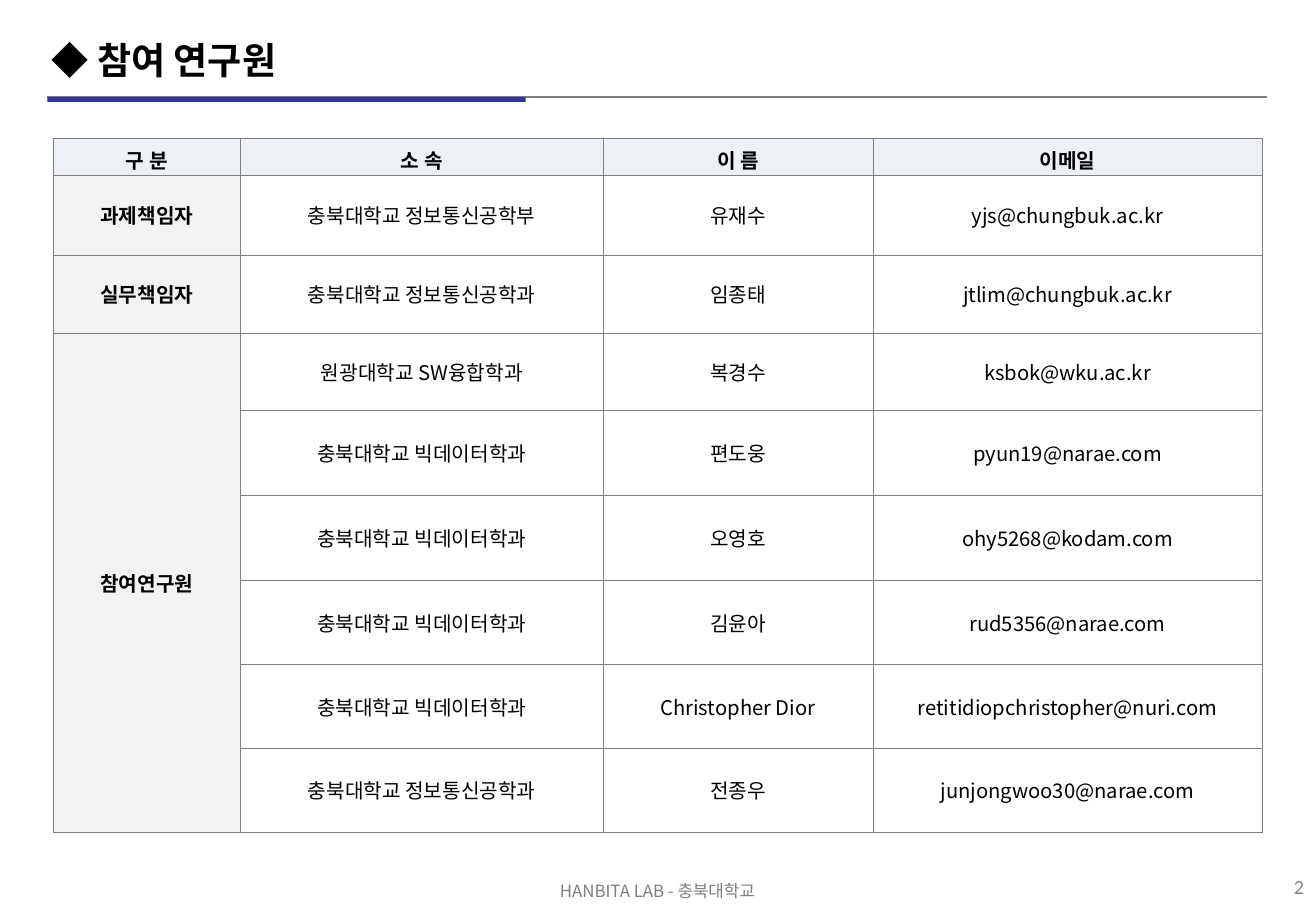
from dataclasses import dataclass

from lxml import etree
from pptx import Presentation
from pptx.dml.color import RGBColor
from pptx.enum.shapes import MSO_CONNECTOR, MSO_SHAPE
from pptx.enum.text import MSO_ANCHOR, PP_ALIGN
from pptx.oxml import parse_xml
from pptx.oxml.ns import nsdecls, qn
from pptx.util import Inches, Pt

LEFT, CENTER, RIGHT = PP_ALIGN.LEFT, PP_ALIGN.CENTER, PP_ALIGN.RIGHT
TOP, MIDDLE = MSO_ANCHOR.TOP, MSO_ANCHOR.MIDDLE
STRAIGHT, RECTANGLE = MSO_CONNECTOR.STRAIGHT, MSO_SHAPE.RECTANGLE


@dataclass(frozen=True)
class Theme:
    korean: str = "Noto Sans CJK KR"
    latin: str = "Calibri"
    ink: str = "000000"
    rule: str = "7F7F7F"
    page: str = "898989"
    accent: str = "333399"
    header: str = "EDF0F4"
    role: str = "F2F2F2"
    title_size: int = 22
    body_size: int = 12
    footer_size: int = 10
    border: float = 0.34


theme = Theme()


def write(frame, text, size, color, align, bold=False, font=theme.korean):
    frame.text = text
    paragraph = frame.paragraphs[0]
    paragraph.alignment = align
    for run in paragraph.runs:
        run.font.size = Pt(size)
        run.font.bold = bold
        run.font.name = font
        run.font.color.rgb = RGBColor.from_string(color)
        east_asian = etree.SubElement(run.font._element, qn("a:ea"))
        east_asian.set("typeface", font)


def add_label(box, text, size, color, align, anchor, **style):
    frame = slide.shapes.add_textbox(*map(Inches, box)).text_frame
    frame.word_wrap = True
    frame.vertical_anchor = anchor
    write(frame, text, size, color, align, **style)


deck = Presentation()
deck.slide_width = Inches(10.84)
deck.slide_height = Inches(7.5)
slide = deck.slides.add_slide(deck.slide_layouts[6])

add_label((0, 7.2, 10.83, 0.27), "HANBITA LAB - 충북대학교",
          theme.footer_size, theme.rule, CENTER, TOP)

title_rule = slide.shapes.add_connector(
    STRAIGHT, Inches(0.39), Inches(0.8), Inches(10.44), Inches(0.8))
title_rule.line.color.rgb = RGBColor.from_string(theme.rule)
title_rule.line.width = Pt(1)
etree.SubElement(title_rule._element.spPr, qn("a:effectLst"))

add_label((8.4, 7.1, 2.44, 0.4), "2",
          theme.body_size, theme.page, RIGHT, MIDDLE, font=theme.latin)

title_accent = slide.shapes.add_shape(
    RECTANGLE, Inches(0.39), Inches(0.8), Inches(3.94), Inches(0.04))
title_accent.shadow.inherit = False
title_accent.fill.solid()
title_accent.fill.fore_color.rgb = RGBColor.from_string(theme.accent)
title_accent.line.fill.background()

add_label((0.33, 0.2, 10.5, 0.58), "◆ 참여 연구원",
          theme.title_size, theme.ink, LEFT, MIDDLE, bold=True)

members = [
    ("구 분", "소 속", "이 름", "이메일"),
    ("과제책임자", "충북대학교 정보통신공학부", "유재수", "yjs@chungbuk.ac.kr"),
    ("실무책임자", "충북대학교 정보통신공학과", "임종태", "jtlim@chungbuk.ac.kr"),
    ("참여연구원", "원광대학교 SW융합학과", "복경수", "ksbok@wku.ac.kr"),
    ("", "충북대학교 빅데이터학과", "편도웅", "pyun19@narae.com"),
    ("", "충북대학교 빅데이터학과", "오영호", "ohy5268@kodam.com"),
    ("", "충북대학교 빅데이터학과", "김윤아", "rud5356@narae.com"),
    ("", "충북대학교 빅데이터학과", "Christopher Dior", "retitidiopchristopher@nuri.com"),
    ("", "충북대학교 정보통신공학과", "전종우", "junjongwoo30@narae.com"),
]
column_widths = [1.54, 2.99, 2.22, 3.21]
row_heights = [0.3, 0.66, 0.64, 0.64, 0.7, 0.7, 0.69, 0.69, 0.69]

roster = slide.shapes.add_table(
    len(members), len(column_widths), Inches(0.44), Inches(1.14),
    Inches(sum(column_widths)), Inches(sum(row_heights))).table
roster.first_row = False
roster.horz_banding = False
for column, width in zip(roster.columns, column_widths):
    column.width = Inches(width)
for row, height in zip(roster.rows, row_heights):
    row.height = Inches(height)

for r, member in enumerate(members):
    for c, entry in enumerate(member):
        cell = roster.cell(r, c)
        cell.vertical_anchor = MIDDLE
        is_heading = r == 0 or c == 0
        write(cell.text_frame, entry, theme.body_size, theme.ink, CENTER, bold=is_heading)
        if is_heading:
            cell.fill.solid()
            cell.fill.fore_color.rgb = RGBColor.from_string(
                theme.header if r == 0 else theme.role)
        else:
            cell.fill.background()
        properties = cell._tc.get_or_add_tcPr()
        for position, side in enumerate(("lnL", "lnR", "lnT", "lnB")):
            properties.insert(position, parse_xml(
                f'<a:{side} {nsdecls("a")} w="{Pt(theme.border)}"><a:solidFill>'
                f'<a:srgbClr val="{theme.rule}"/></a:solidFill></a:{side}>'))

roster.cell(3, 0).merge(roster.cell(len(members) - 1, 0))

deck.save("out.pptx")
